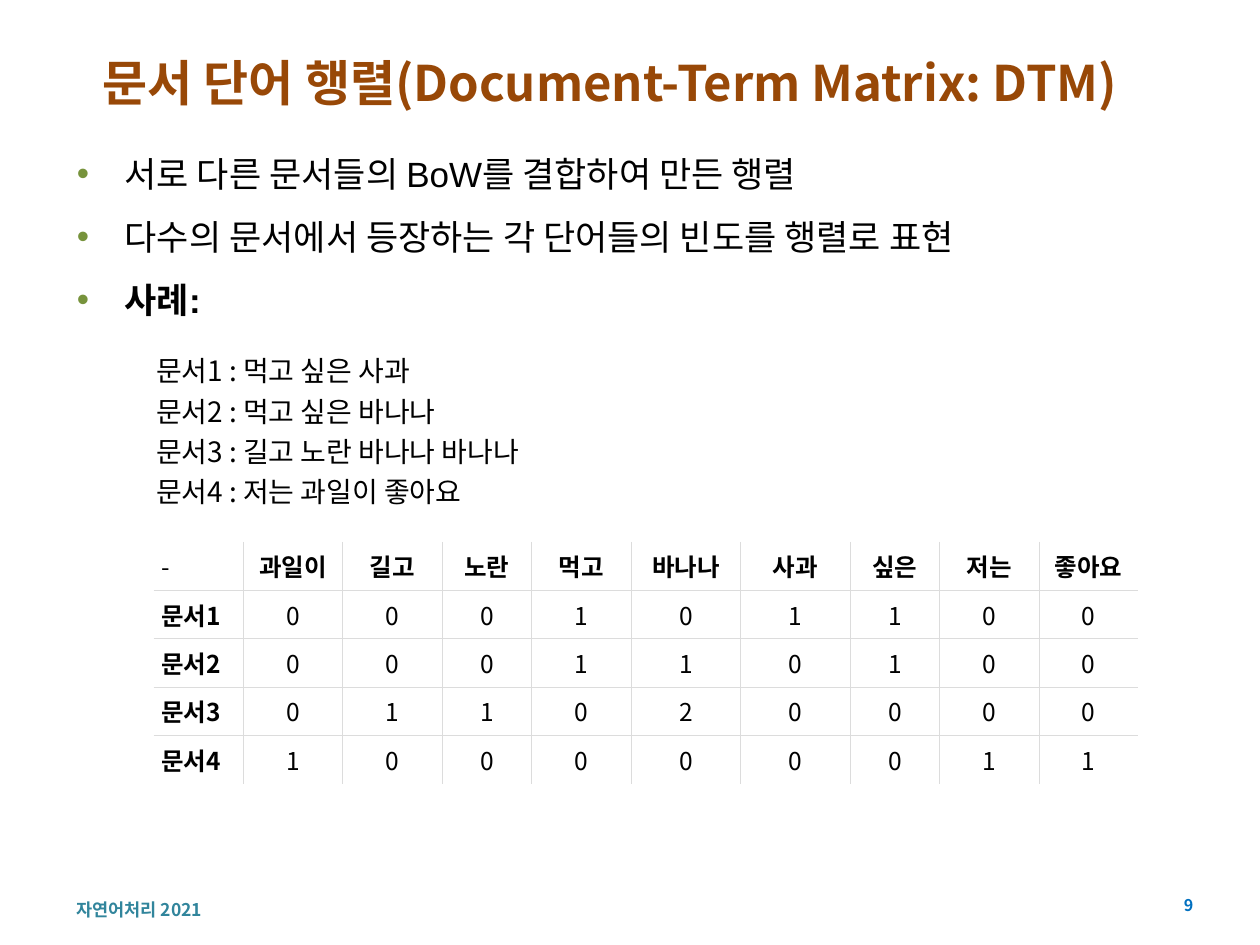
import pptx
import pptx.util
import pptx.dml.color
import pptx.enum.text
import pptx.oxml
import pptx.oxml.ns
import lxml.etree

Inches = pptx.util.Inches
Pt = pptx.util.Pt
RGBColor = pptx.dml.color.RGBColor
ALIGN = pptx.enum.text.PP_ALIGN
MIDDLE = pptx.enum.text.MSO_ANCHOR.MIDDLE
qn = pptx.oxml.ns.qn

BROWN = RGBColor(0x98, 0x48, 0x07)
GREEN = RGBColor(0x77, 0x93, 0x3C)
TEAL = RGBColor(0x31, 0x85, 0x9C)
BLUE = RGBColor(0x00, 0x70, 0xC0)
GREY = RGBColor(0xDC, 0xDC, 0xDC)
BLACK = RGBColor(0x00, 0x00, 0x00)
WHITE = RGBColor(0xFF, 0xFF, 0xFF)
KOREAN_FONT = "Noto Sans CJK KR"


def format_paragraph(paragraph, size, color, bold=False, align=ALIGN.LEFT, font=KOREAN_FONT):
    paragraph.alignment = align
    for run in paragraph.runs:
        run.font.size = Pt(size)
        run.font.name = font
        run.font.bold = bold
        run.font.color.rgb = color
        east_asian = lxml.etree.Element(qn("a:ea"), typeface=KOREAN_FONT)
        run.font._element.find(qn("a:latin")).addnext(east_asian)


def place(shape, left, top, width, height):
    shape.left, shape.top = Inches(left), Inches(top)
    shape.width, shape.height = Inches(width), Inches(height)


presentation = pptx.Presentation()
presentation.slide_width, presentation.slide_height = Inches(10), Inches(7.5)
slide = presentation.slides.add_slide(presentation.slide_layouts[1])

# Title
title = slide.shapes.title
place(title, 0.51, 0.35, 8.66, 0.6)
title.text_frame.text = "문서 단어 행렬(Document-Term Matrix: DTM)"
title.text_frame.vertical_anchor = MIDDLE
format_paragraph(title.text_frame.paragraphs[0], 28, BROWN, True, ALIGN.CENTER)

# Bullet list
body = slide.placeholders[1]
place(body, 0.51, 0.99, 9.06, 3.54)
body.text_frame.text = "\n".join([
    "서로 다른 문서들의 BoW를 결합하여 만든 행렬",
    "다수의 문서에서 등장하는 각 단어들의 빈도를 행렬로 표현",
    "사례:",
])
for paragraph in body.text_frame.paragraphs:
    format_paragraph(paragraph, 20, BLACK, paragraph.text == "사례:", font="Arial")
    paragraph.line_spacing = 1.5
    paragraph.space_before = Pt(0)
    properties = paragraph._p.get_or_add_pPr()
    properties.set("marL", str(Inches(0.38)))
    properties.set("indent", str(-Inches(0.38)))
    bullet_color = lxml.etree.SubElement(properties, qn("a:buClr"))
    lxml.etree.SubElement(bullet_color, qn("a:srgbClr"), val=str(GREEN))
    lxml.etree.SubElement(properties, qn("a:buFont"), typeface="Arial")
    lxml.etree.SubElement(properties, qn("a:buChar"), char="•")

# Example documents, footer and page number
documents = "\v".join([
    "문서1 : 먹고 싶은 사과",
    "문서2 : 먹고 싶은 바나나",
    "문서3 : 길고 노란 바나나 바나나",
    "문서4 : 저는 과일이 좋아요",
])
text_boxes = [
    (documents, (1.14, 2.57, 5.83, 1.65), 16, BLACK, False, ALIGN.LEFT, 1.2),
    ("자연어처리 2021", (0.51, 7.14, 2.6, 0.16), 10, TEAL, True, ALIGN.LEFT, 1.0),
    ("9", (9.02, 7.06, 0.55, 0.24), 9.2, BLUE, True, ALIGN.RIGHT, 1.0),
]
for text, position, size, color, bold, align, spacing in text_boxes:
    text_box = slide.shapes.add_textbox(*map(Inches, position))
    text_box.text_frame.word_wrap = True
    text_box.text_frame.vertical_anchor = MIDDLE
    paragraph = text_box.text_frame.paragraphs[0]
    paragraph.text = text
    paragraph.line_spacing = spacing
    format_paragraph(paragraph, size, color, bold, align)

# Document-term matrix
terms = ["-", "과일이", "길고", "노란", "먹고", "바나나", "사과", "싶은", "저는", "좋아요"]
counts = ["000101100", "000110100", "011020000", "100000011"]
rows = [terms] + [[f"문서{number}", *row] for number, row in enumerate(counts, 1)]
column_widths = [0.71, 0.79, 0.79, 0.71, 0.79, 0.87, 0.87, 0.71, 0.79, 0.78]
last_row, last_column = len(rows) - 1, len(terms) - 1

frame = slide.shapes.add_table(len(rows), len(terms), Inches(1.22), Inches(4.3),
                               Inches(sum(column_widths)), Inches(1.92))
table = frame.table
table.horz_banding = False
for column, width in zip(table.columns, column_widths):
    column.width = Inches(width)

for row_index, row in enumerate(rows):
    for column_index, text in enumerate(row):
        cell = table.cell(row_index, column_index)
        cell.text_frame.text = text
        cell.vertical_anchor = MIDDLE
        cell.margin_left = cell.margin_right = Inches(0.06)
        cell.margin_top = cell.margin_bottom = Inches(0.04)
        is_header = (row_index == 0) != (column_index == 0)
        align = ALIGN.CENTER if column_index else ALIGN.LEFT
        format_paragraph(cell.text_frame.paragraphs[0], 14, BLACK, is_header, align)
        cell.fill.solid()
        cell.fill.fore_color.rgb = WHITE

        # Inner grid lines only; the outer edge stays open
        inner_sides = [
            ("a:lnL", column_index > 0),
            ("a:lnR", column_index < last_column),
            ("a:lnT", row_index > 0),
            ("a:lnB", row_index < last_row),
        ]
        cell_properties = cell._tc.get_or_add_tcPr()
        for position, (side, is_inner) in enumerate(inner_sides):
            line = lxml.etree.Element(qn(side), w=str(Pt(0.38)))
            if is_inner:
                fill = lxml.etree.SubElement(line, qn("a:solidFill"))
                lxml.etree.SubElement(fill, qn("a:srgbClr"), val=str(GREY))
            else:
                lxml.etree.SubElement(line, qn("a:noFill"))
            cell_properties.insert(position, line)

presentation.save("out.pptx")
